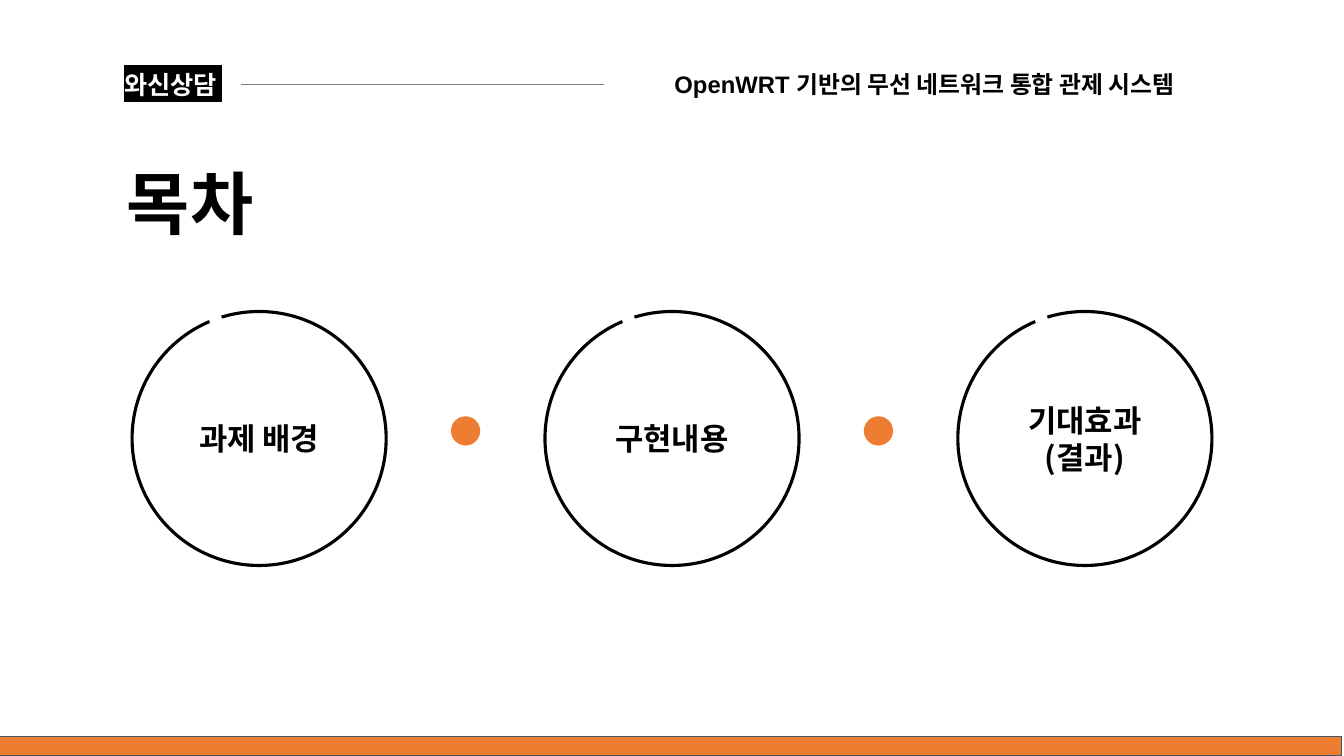
from lxml import etree
from pptx import Presentation
from pptx.dml.color import RGBColor
from pptx.enum.shapes import MSO_CONNECTOR as Connector, MSO_SHAPE as Shape
from pptx.enum.text import MSO_ANCHOR as Anchor, MSO_AUTO_SIZE as AutoSize, PP_ALIGN as Align
from pptx.oxml.ns import qn
from pptx.util import Inches, Pt

COLORS = {"text": "000000", "paper": "FFFFFF", "accent": "ED7D31", "rule": "7B7B7B", "edge": "44546A"}
KOREAN = "Noto Sans CJK KR"
TOPICS = ["과제 배경", "구현내용", "기대효과\n(결과)"]


def color(name):
    """Return the named palette colour."""
    return RGBColor.from_string(COLORS[name])


def set_text(shape, text, size, font_name, color_name="text", anchor=Anchor.MIDDLE, inset=0.1):
    """Fill a shape with centred bold text."""
    frame = shape.text_frame
    frame.text = text
    frame.word_wrap = True
    frame.auto_size = AutoSize.NONE
    frame.vertical_anchor = anchor
    frame.margin_left = frame.margin_right = Inches(0.1)
    frame.margin_top = frame.margin_bottom = Inches(inset)
    for paragraph in frame.paragraphs:
        paragraph.alignment = Align.CENTER
        paragraph.line_spacing = 1
        for run in paragraph.runs:
            run.font.size = Pt(size)
            run.font.bold = True
            run.font.color.rgb = color(color_name)
            run.font.name = font_name
            east_asian = etree.SubElement(run.font._element, qn("a:ea"))
            east_asian.set("typeface", KOREAN)


def add_shape(shapes, kind, box, fill=None, line=None, width=0.75):
    """Add a flat preset shape in the given box."""
    shape = shapes.add_shape(kind, *map(Inches, box))
    shape.shadow.inherit = False
    if fill:
        shape.fill.solid()
        shape.fill.fore_color.rgb = color(fill)
    else:
        shape.fill.background()
    if line:
        shape.line.color.rgb = color(line)
        shape.line.width = Pt(width)
    else:
        shape.line.fill.background()
    return shape


def add_line(shapes, start, end, line, width):
    """Add a straight connector without a shadow."""
    connector = shapes.add_connector(Connector.STRAIGHT, *map(Inches, start + end))
    connector.line.color.rgb = color(line)
    connector.line.width = Pt(width)
    etree.SubElement(connector._element.spPr, qn("a:effectLst"))
    return connector


def highlight(run, color_name):
    """Put a marker colour behind a run."""
    marker = etree.Element(qn("a:highlight"))
    etree.SubElement(marker, qn("a:srgbClr")).set("val", COLORS[color_name])
    run.font._element.find(qn("a:solidFill")).addnext(marker)


def add_header(slide, left, top, width, height):
    """Add the team name, the rule and the project name."""
    team_width, rule_width = 1.34, 3.6
    project_left = left + team_width + rule_width
    team = slide.shapes.add_textbox(*map(Inches, (left, top, team_width, height)))
    set_text(team, "와신상담 ", 18, "Arial", "paper", Anchor.TOP, 0.05)
    highlight(team.text_frame.paragraphs[0].runs[0], "text")
    project = add_shape(slide.shapes, Shape.RECTANGLE,
                        (project_left, top, left + width - project_left, height), line="paper")
    set_text(project, "OpenWRT 기반의 무선 네트워크 통합 관제 시스템", 17, "Arial",
             anchor=Anchor.TOP, inset=0.05)
    middle = top + height / 2
    rule = add_line(slide.shapes, (left + team_width, middle), (project_left, middle), "rule", 1)
    rule.begin_connect(team, 3)
    rule.end_connect(project, 1)


def add_title(slide, left, top, width, height):
    """Place the title placeholder."""
    title = slide.shapes.title
    title.left, title.top, title.width, title.height = map(Inches, (left, top, width, height))
    set_text(title, "목차", 49, KOREAN)


def add_topic(slide, left, top, size, text):
    """Add a ring with a gap at its upper left and a topic inside."""
    group = slide.shapes.add_group_shape()
    ring = add_shape(group.shapes, Shape.OVAL, (left, top, size, size), "paper", "text", 2.25)
    set_text(ring, text, 22, KOREAN)
    add_line(group.shapes, (left + 0.75, top - 0.15), (left + 0.89, top + 0.26), "paper", 9)


def add_topics(slide, left, top, width, size):
    """Spread the topics evenly with a dot between neighbours."""
    pitch = (width - size) / (len(TOPICS) - 1)
    dot = 0.29
    for index, text in enumerate(TOPICS):
        ring_left = left + index * pitch
        add_topic(slide, ring_left, top, size, text)
        if index:
            dot_left = ring_left - (pitch - size + dot) / 2
            add_shape(slide.shapes, Shape.OVAL, (dot_left, top + 1.04, dot, dot), "accent")


def main():
    """Build the contents slide."""
    presentation = Presentation()
    presentation.slide_width, presentation.slide_height = Inches(13.33), Inches(7.5)
    slide = presentation.slides.add_slide(presentation.slide_layouts[5])
    add_header(slide, 1.05, 0.64, 11.3, 0.4)
    add_title(slide, 0.97, 1.57, 1.83, 0.86)
    add_topics(slide, 1.31, 3.09, 10.71, 2.52)
    add_shape(slide.shapes, Shape.RECTANGLE, (-0.02, 7.31, 13.33, 0.19), "accent", "edge")
    presentation.save("out.pptx")


if __name__ == "__main__":
    main()
